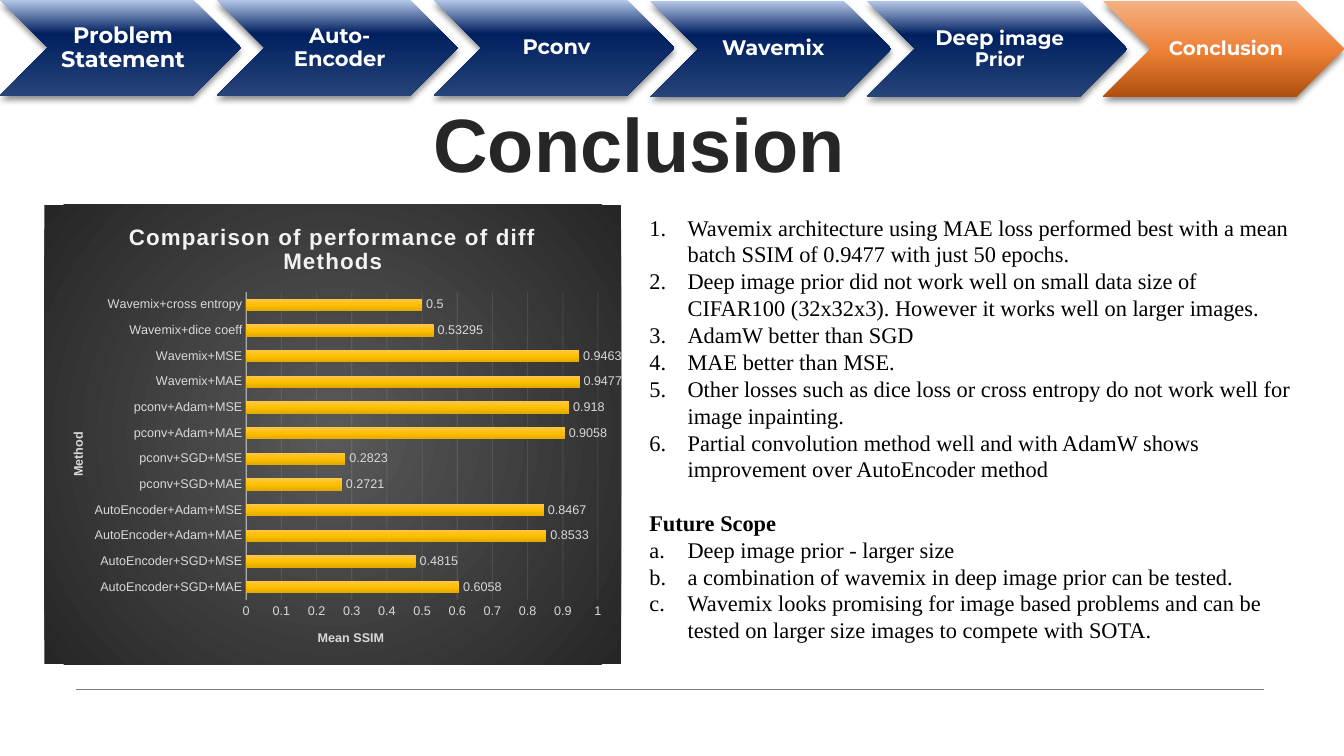
from lxml.etree import SubElement
from pptx import Presentation
from pptx.chart.data import CategoryChartData
from pptx.dml.color import RGBColor
from pptx.enum.chart import XL_CHART_TYPE as ChartType, XL_LABEL_POSITION as LabelPosition
from pptx.enum.chart import XL_TICK_MARK as TickMark
from pptx.enum.shapes import MSO_CONNECTOR as Connector, MSO_SHAPE as Preset
from pptx.enum.text import MSO_ANCHOR as Anchor, MSO_AUTO_SIZE as AutoSize, PP_ALIGN as Align
from pptx.oxml import parse_xml
from pptx.oxml.ns import nsdecls, qn
from pptx.util import Inches, Pt

NAVY = [(0, "B4C7E7"), (35, "002060"), (100, "264478")]
ORANGE = [(0, "F4B183"), (52, "EE8137"), (100, "B0500F")]
GOLD = [(0, "FFC64B"), (50, "FFC000"), (100, "E3AB00")]
CHARCOAL = [(0, "595959"), (100, "262626")]
DOWN = '<a:lin ang="5400000" scaled="0"/>'
RADIAL = '<a:path path="circle"><a:fillToRect l="50000" t="50000" r="50000" b="50000"/></a:path>'

STEPS = [
    ([("Problem Statement", 16)], 2.39, 0, NAVY),
    ([("Auto-Encoder", 15)], 2.39, 0, NAVY),
    ([("Pconv", 15)], 2.39, 0, NAVY),
    ([("Wavemix", 15)], 2.39, 0.01, NAVY),
    ([("Deep", 15), (" image Prior", 14)], 2.58, 0.01, NAVY),
    ([("Conclusion", 14)], 2.39, 0.01, ORANGE),
]
STEP_OVERLAP = 0.24

SSIM = {
    "AutoEncoder+SGD+MAE": 0.6058, "AutoEncoder+SGD+MSE": 0.4815,
    "AutoEncoder+Adam+MAE": 0.8533, "AutoEncoder+Adam+MSE": 0.8467,
    "pconv+SGD+MAE": 0.2721, "pconv+SGD+MSE": 0.2823,
    "pconv+Adam+MAE": 0.9058, "pconv+Adam+MSE": 0.918,
    "Wavemix+MAE": 0.9477, "Wavemix+MSE": 0.9463,
    "Wavemix+dice coeff": 0.53295, "Wavemix+cross entropy": 0.5,
}

FINDINGS = [
    "Wavemix architecture using MAE loss performed best with a mean batch SSIM of 0.9477 with just 50 epochs.",
    "Deep image prior did not work well on small data size of CIFAR100 (32x32x3). "
    "However it works well on larger images.",
    "AdamW better than SGD",
    "MAE better than MSE.",
    "Other losses such as dice loss or cross entropy do not work well for image inpainting.",
    "Partial convolution method well and with AdamW shows improvement over AutoEncoder method",
]
FUTURE = [
    "Deep image prior - larger size",
    "a combination of wavemix in deep image prior can be tested.",
    "Wavemix looks promising for image based problems and can be tested on larger size images "
    "to compete with SOTA.",
]


def color(value):
    return RGBColor.from_string(value)


def gradient(stops, direction=DOWN):
    marks = "".join(f'<a:gs pos="{position * 1000}"><a:srgbClr val="{value}"/></a:gs>'
                    for position, value in stops)
    return parse_xml(f'<a:gradFill {nsdecls("a")} rotWithShape="1"><a:gsLst>{marks}</a:gsLst>'
                     f'{direction}</a:gradFill>')


def swap_fill(properties, stops):
    solid = properties.find(qn("a:solidFill"))
    properties.replace(solid, gradient(stops))


def write(paragraph, text, **style):
    run = paragraph.add_run()
    run.text = text
    run.font.name = style.get("font", "Arial")
    run.font.size = Pt(style["size"])
    run.font.bold = style.get("bold", False)
    run.font.color.rgb = color(style.get("fill", "000000"))


def set_layout(parent, x, y, width=None, height=None):
    for old in parent.findall(qn("c:layout")):
        parent.remove(old)
    target = '<c:layoutTarget val="inner"/>' if width else ""
    values = [("xMode", "edge"), ("yMode", "edge"), ("x", x), ("y", y), ("w", width), ("h", height)]
    parts = "".join(f'<c:{name} val="{value}"/>' for name, value in values if value is not None)
    layout = parse_xml(f'<c:layout {nsdecls("c")}><c:manualLayout>{target}{parts}</c:manualLayout></c:layout>')
    parent.insert(len(parent.findall(qn("c:tx"))), layout)


class ConclusionSlide:
    serif, heading, light = "Times New Roman", "Montserrat", "D9D9D9"

    def __init__(self, presentation):
        self.slide = presentation.slides.add_slide(presentation.slide_layouts[1])

    def place(self, shape, left, top, width, height):
        shape.left, shape.top = Inches(left), Inches(top)
        shape.width, shape.height = Inches(width), Inches(height)
        shape.text_frame.word_wrap = True
        shape.text_frame.auto_size = AutoSize.NONE

    def title(self, text, *box):
        shape = self.slide.shapes.title
        self.place(shape, *box)
        shape.fill.solid()
        shape.fill.fore_color.rgb = color("FFFFFF")
        shape.text_frame.vertical_anchor = Anchor.MIDDLE
        paragraph = shape.text_frame.paragraphs[0]
        paragraph.alignment, paragraph.line_spacing = Align.CENTER, 0.9
        write(paragraph, text, size=54, bold=True, fill="262626")

    def step(self, runs, left, top, width, stops):
        shape = self.slide.shapes.add_shape(
            Preset.CHEVRON, Inches(left), Inches(top), Inches(width), Inches(0.95))
        shape.line.fill.background()
        shape.fill.solid()
        properties = shape.element.spPr
        swap_fill(properties, stops)
        properties.append(parse_xml(
            f'<a:effectLst {nsdecls("a")}><a:outerShdw blurRad="{Pt(5)}" dist="{Pt(3)}" dir="5400000" '
            'rotWithShape="0"><a:srgbClr val="000000"><a:alpha val="45000"/></a:srgbClr>'
            '</a:outerShdw></a:effectLst>'))
        frame = shape.text_frame
        frame.word_wrap, frame.vertical_anchor = True, Anchor.MIDDLE
        frame.margin_left = Inches(0.07)
        frame.margin_top = frame.margin_right = frame.margin_bottom = Inches(0.02)
        paragraph = frame.paragraphs[0]
        paragraph.alignment, paragraph.line_spacing = Align.CENTER, 0.9
        for text, size in runs:
            write(paragraph, text, size=size, font=self.heading, bold=True, fill="FFFFFF")

    def rule(self, left, right, y):
        line = self.slide.shapes.add_connector(
            Connector.STRAIGHT, Inches(left), Inches(y), Inches(right), Inches(y))
        line.line.color.rgb, line.line.width = color("7F7F7F"), Pt(0.75)
        SubElement(line.element.spPr, qn("a:effectLst"))

    def body(self, entries, *box):
        shape = self.slide.placeholders[1]
        self.place(shape, *box)
        for index, (text, numbering) in enumerate(entries):
            frame = shape.text_frame
            paragraph = frame.add_paragraph() if index else frame.paragraphs[0]
            paragraph.line_spacing = 1.0
            paragraph.space_before = Pt(0 if numbering else 19)
            properties = paragraph._p.get_or_add_pPr()
            indent = Inches(0.38) if numbering else 0
            properties.set("marL", str(indent))
            properties.set("indent", str(-indent))
            if numbering:
                SubElement(properties, qn("a:buFont")).set("typeface", "+mj-lt")
                SubElement(properties, qn("a:buAutoNum")).set("type", numbering)
            else:
                SubElement(properties, qn("a:buNone"))
            write(paragraph, text, size=16, font=self.serif, bold=not numbering)

    def axis(self, axis, title):
        write(axis.axis_title.text_frame.paragraphs[0], title, size=9, bold=True, fill=self.light)
        axis.major_tick_mark = axis.minor_tick_mark = TickMark.NONE
        axis.tick_labels.font.size = Pt(9)
        axis.tick_labels.font.color.rgb = color(self.light)

    def chart(self, title, scores, *box):
        data = CategoryChartData()
        data.categories = list(scores)
        data.add_series("Series 1", list(scores.values()))
        chart = self.slide.shapes.add_chart(ChartType.BAR_CLUSTERED, *map(Inches, box), data).chart
        chart.has_legend = False
        chart.font.name, chart.font.size = "Arial", Pt(10)
        write(chart.chart_title.text_frame.paragraphs[0], title, size=16, bold=True, fill="F2F2F2")
        methods, values = chart.category_axis, chart.value_axis
        self.axis(methods, "Method")
        self.axis(values, "Mean SSIM")
        values.minimum_scale, values.maximum_scale, values.major_unit = 0, 1, 0.1
        values.tick_labels.number_format, values.tick_labels.number_format_is_linked = "General", False
        values.format.line.fill.background()
        for line, width in ((methods.format.line, 1), (values.major_gridlines.format.line, 0.75)):
            line.color.rgb, line.width = color("F2F2F2"), Pt(width)
        plot = chart.plots[0]
        plot.gap_width, plot.overlap, plot.vary_by_categories = 115, -20, False
        plot.has_data_labels = True
        labels = plot.data_labels
        labels.show_value, labels.position = True, LabelPosition.OUTSIDE_END
        labels.font.size, labels.font.color.rgb = Pt(9), color(self.light)
        plot.series[0].format.fill.solid()
        find = chart.element.xpath
        swap_fill(find("//c:ser/c:spPr")[0], GOLD)
        for where, alpha in (("c:catAx/c:spPr", 54), ("c:majorGridlines/c:spPr", 10)):
            SubElement(find(f"//{where}//a:srgbClr")[0], qn("a:alpha")).set("val", str(alpha * 1000))
        find("//c:chart/c:title//a:rPr")[0].set("spc", "100")
        find("//c:catAx/c:title//a:bodyPr")[0].set("rot", "-5400000")
        set_layout(find("//c:plotArea")[0], 0.35, 0.19, 0.61, 0.67)
        set_layout(find("//c:catAx/c:title")[0], 0.04, 0.49)
        set_layout(find("//c:valAx/c:title")[0], 0.47, 0.92)
        background = parse_xml(f'<c:spPr {nsdecls("c", "a")}><a:ln><a:noFill/></a:ln></c:spPr>')
        background.insert(0, gradient(CHARCOAL, RADIAL))
        find("c:chart")[0].addnext(background)


def main():
    presentation = Presentation()
    presentation.slide_width, presentation.slide_height = Inches(13.33), Inches(7.5)
    page = ConclusionSlide(presentation)
    left = 0
    for runs, width, top, stops in STEPS:
        page.step(runs, left, top, width, stops)
        left += width - STEP_OVERLAP
    page.title("Conclusion", 3.32, 1.09, 6.04, 0.76)
    page.rule(0.75, 12.54, 6.84)
    page.chart("Comparison of performance of diff Methods", SSIM, 0.44, 2.03, 5.73, 4.56)
    entries = [(text, "arabicPeriod") for text in FINDINGS]
    entries += [("Future Scope", None)] + [(text, "alphaLcPeriod") for text in FUTURE]
    page.body(entries, 6.34, 2.07, 6.56, 4.41)
    presentation.save("out.pptx")


if __name__ == "__main__":
    main()
